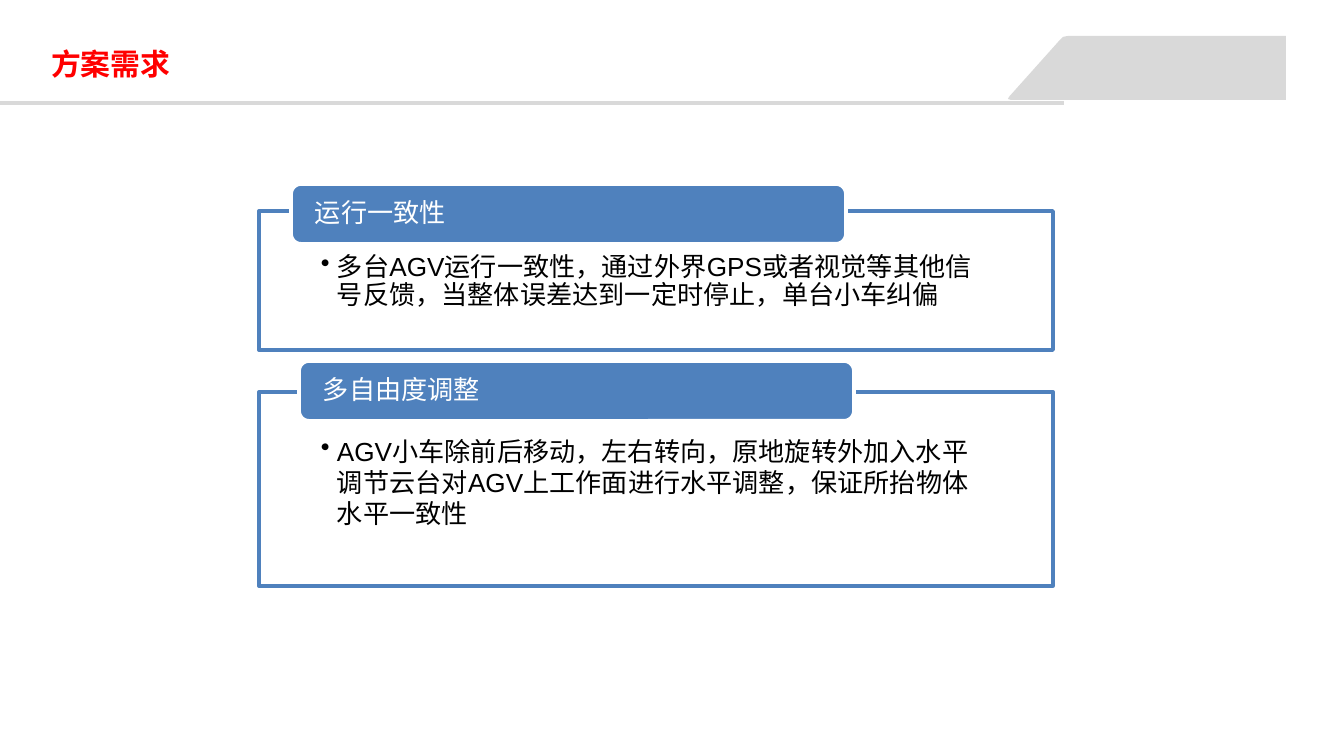
"""Build the requirements slide: a title and two labelled panels."""
import lxml.etree
import pptx
import pptx.dml.color
import pptx.enum.shapes
import pptx.enum.text
import pptx.oxml.ns
import pptx.util

SCALE = 914400 / 134.4
RED = pptx.dml.color.RGBColor(0xFF, 0x00, 0x00)
BLUE = pptx.dml.color.RGBColor(0x4F, 0x81, 0xBD)
GREY = pptx.dml.color.RGBColor(0xD9, 0xD9, 0xD9)
WHITE = pptx.dml.color.RGBColor(0xFF, 0xFF, 0xFF)
BLACK = pptx.dml.color.RGBColor(0x00, 0x00, 0x00)
SHAPES = pptx.enum.shapes.MSO_SHAPE
ANCHORS = pptx.enum.text.MSO_ANCHOR

TITLE = "方案需求"
PANELS = [
    {"label": "运行一致性",
     "body": "多台AGV运行一致性，通过外界GPS或者视觉等其他信号反馈，当整体误差达到一定时停止，单台小车纠偏",
     "top": 211, "height": 139, "label_left": 291, "label_top": 184, "spacing": 0.9},
    {"label": "多自由度调整",
     "body": "AGV小车除前后移动，左右转向，原地旋转外加入水平调节云台对AGV上工作面进行水平调整，保证所抬物体水平一致性",
     "top": 392, "height": 194, "label_left": 299, "label_top": 361, "spacing": 1.0},
]
PANEL_LEFT, PANEL_WIDTH = 259, 794
LABEL_WIDTH, LABEL_HEIGHT = 555, 60
BULLET_INDENT = 16
TAB_OUTLINE = [(1286, 36), (1068, 36), (1063, 37), (1060, 40),
               (1009, 97), (1008, 99), (1011, 100), (1286, 100)]


def px(length):
    return pptx.util.Emu(round(length * SCALE))


def write(shape, text, size, font, color, insets, anchor):
    frame = shape.text_frame
    frame.text = text
    frame.word_wrap = True
    frame.auto_size = pptx.enum.text.MSO_AUTO_SIZE.NONE
    frame.vertical_anchor = anchor
    frame.margin_left, frame.margin_top, frame.margin_right, frame.margin_bottom = map(px, insets)
    para = frame.paragraphs[0]
    para.alignment = pptx.enum.text.PP_ALIGN.LEFT
    span = para.runs[0]
    span.font.size = pptx.util.Pt(size)
    span.font.name = font
    span.font.color.rgb = color
    return para


def add_box(slide, kind, place, fill, line):
    box = slide.shapes.add_shape(kind, *map(px, place))
    box.shadow.inherit = False
    box.fill.solid()
    box.fill.fore_color.rgb = fill
    box.line.color.rgb = line
    box.line.width = pptx.util.Pt(2)
    return box


def add_bullet(para):
    properties = para._p.get_or_add_pPr()
    properties.set("marL", str(px(BULLET_INDENT)))
    properties.set("indent", str(px(-BULLET_INDENT)))
    bullet = lxml.etree.SubElement(properties, pptx.oxml.ns.qn("a:buChar"))
    bullet.set("char", "•")


def add_panel(slide, panel):
    place = (PANEL_LEFT, panel["top"], PANEL_WIDTH, panel["height"])
    box = add_box(slide, SHAPES.RECTANGLE, place, WHITE, BLUE)
    color = box._element.xpath("./p:spPr/a:solidFill/a:srgbClr")[0]
    lxml.etree.SubElement(color, pptx.oxml.ns.qn("a:alpha")).set("val", "90000")
    para = write(box, panel["body"], 14, "Arial", BLACK, (62, 43, 62, 15), ANCHORS.TOP)
    para.level = 1
    para.line_spacing = panel["spacing"]
    add_bullet(para)

    place = (panel["label_left"], panel["label_top"], LABEL_WIDTH, LABEL_HEIGHT)
    label = add_box(slide, SHAPES.ROUNDED_RECTANGLE, place, BLUE, WHITE)
    para = write(label, panel["label"], 14, "Arial", WHITE, (21, 0, 21, 0), ANCHORS.MIDDLE)
    para.line_spacing = 0.9


def add_header(slide):
    builder = slide.shapes.build_freeform(*TAB_OUTLINE[0], scale=SCALE)
    builder.add_line_segments(TAB_OUTLINE[1:], close=True)
    tab = builder.convert_to_shape()
    tab.shadow.inherit = False
    tab.fill.solid()
    tab.fill.fore_color.rgb = GREY
    tab.line.fill.background()

    rule = slide.shapes.add_connector(
        pptx.enum.shapes.MSO_CONNECTOR.STRAIGHT, *map(px, (-1, 103, 1064, 103)))
    rule.line.color.rgb = GREY
    rule.line.width = pptx.util.Pt(2)
    lxml.etree.SubElement(rule._element.spPr, pptx.oxml.ns.qn("a:effectLst"))

    title = slide.shapes.title
    title.left, title.top, title.width, title.height = map(px, (38, 39, 999, 63))
    para = write(title, TITLE, 16, "Montserrat", RED, (13, 7, 13, 7), ANCHORS.TOP)
    para.runs[0].font.bold = True


def main():
    deck = pptx.Presentation()
    deck.slide_width, deck.slide_height = px(1344), px(756)
    slide = deck.slides.add_slide(deck.slide_layouts.get_by_name("Title Only"))
    add_header(slide)
    for panel in PANELS:
        add_panel(slide, panel)
    deck.save("out.pptx")


if __name__ == "__main__":
    main()
